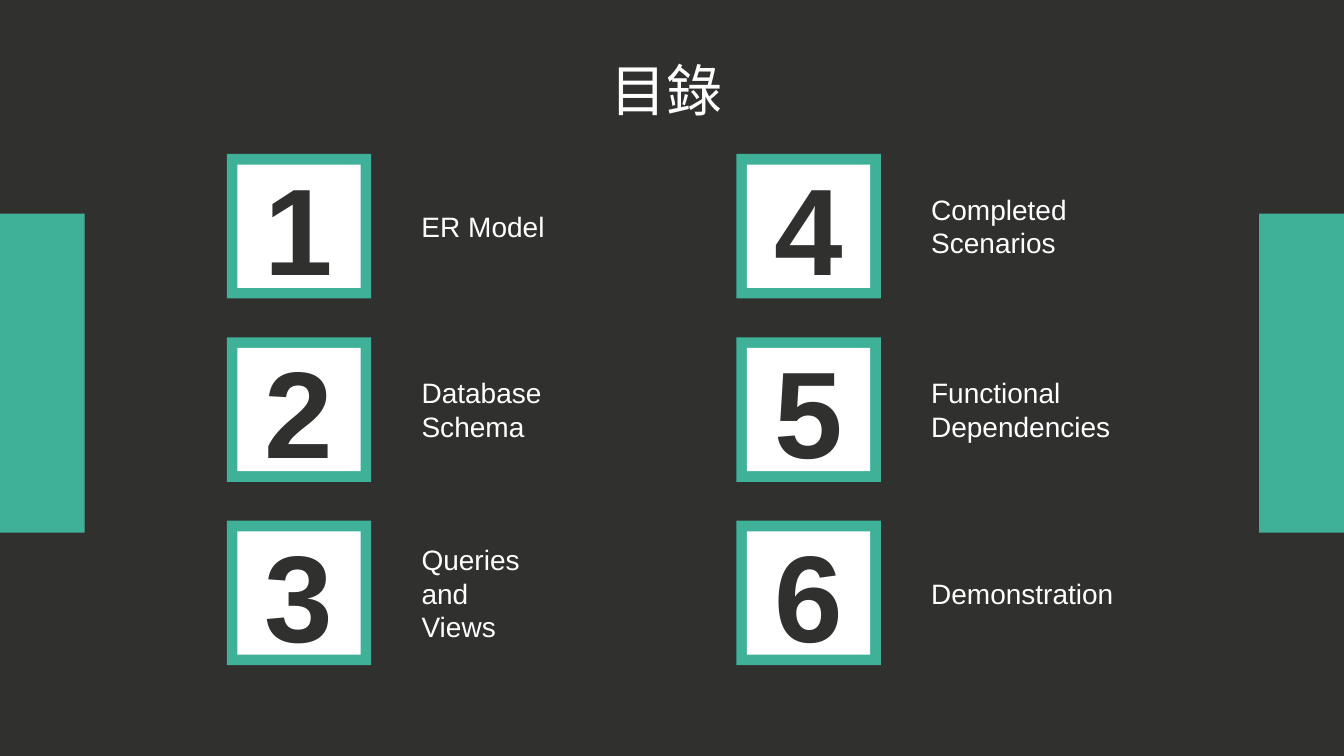
"""Build the contents slide with six numbered topics."""
from collections import namedtuple

from pptx import Presentation
from pptx.dml.color import RGBColor
from pptx.enum.shapes import MSO_SHAPE
from pptx.enum.text import MSO_ANCHOR, MSO_AUTO_SIZE, PP_ALIGN
from pptx.util import Pt

Theme = namedtuple("Theme", "dark green white font title label digit")
theme = Theme(
    dark=RGBColor(0x30, 0x30, 0x2F),
    green=RGBColor(0x3E, 0xB1, 0x98),
    white=RGBColor(0xFF, 0xFF, 0xFF),
    font="Arial", title=40, label=20, digit=88,
)


def add_box(shapes, left, top, width, height, color):
    """Add a plain filled rectangle."""
    box = shapes.add_shape(MSO_SHAPE.RECTANGLE, Pt(left), Pt(top), Pt(width), Pt(height))
    box.shadow.inherit = False
    box.fill.solid()
    box.fill.fore_color.rgb = color
    box.line.fill.background()
    return box


def style(frame, size, color, align=PP_ALIGN.LEFT, bold=False):
    """Format every paragraph of a text frame."""
    for para in frame.paragraphs:
        para.alignment = align
        for run in para.runs:
            run.font.name = theme.font
            run.font.size = Pt(size)
            run.font.bold = bold
            run.font.color.rgb = color


deck = Presentation()
deck.slide_width, deck.slide_height = Pt(960), Pt(540)
slide = deck.slides.add_slide(deck.slide_layouts[5])
slide.background.fill.solid()
slide.background.fill.fore_color.rgb = theme.dark

title = slide.shapes.title
title.left, title.top, title.width, title.height = Pt(429), Pt(36), Pt(102), Pt(55.5)
frame = title.text_frame
frame.text = "目錄"
frame.word_wrap = True
frame.auto_size = MSO_AUTO_SIZE.SHAPE_TO_FIT_TEXT
frame.vertical_anchor = MSO_ANCHOR.TOP
style(frame, theme.title, theme.white)

band = 60.5
for left in (0, 960 - band):
    add_box(slide.shapes, left, 152.5, band, 228, theme.green)

topics = [
    ("ER Model", 103),
    ("Database\nSchema", 101),
    ("Queries\nand\nViews", 85),
    ("Completed\nScenarios", 112.5),
    ("Functional\nDependencies", 144),
    ("Demonstration", 146),
]
tile, inset = 103.25, 7.6
inner = tile - 2 * inset
for index, (topic, width) in enumerate(topics):
    col, row = divmod(index, 3)
    left, top = 162 + 364 * col, 110 + 131 * row

    group = slide.shapes.add_group_shape()
    add_box(group.shapes, left, top, tile, tile, theme.green)
    face = add_box(group.shapes, left + inset, top + inset, inner, inner, theme.white)
    face.text_frame.text = str(index + 1)
    face.text_frame.vertical_anchor = MSO_ANCHOR.MIDDLE
    style(face.text_frame, theme.digit, theme.dark, PP_ALIGN.CENTER, True)

    height = 24 * len(topic.split("\n")) + 7.5
    label = slide.shapes.add_textbox(
        Pt(left + 132), Pt(top + (tile - height) / 2), Pt(width), Pt(height))
    frame = label.text_frame
    frame.text = topic
    frame.word_wrap = False
    frame.auto_size = MSO_AUTO_SIZE.SHAPE_TO_FIT_TEXT
    style(frame, theme.label, theme.white)

deck.save("out.pptx")
